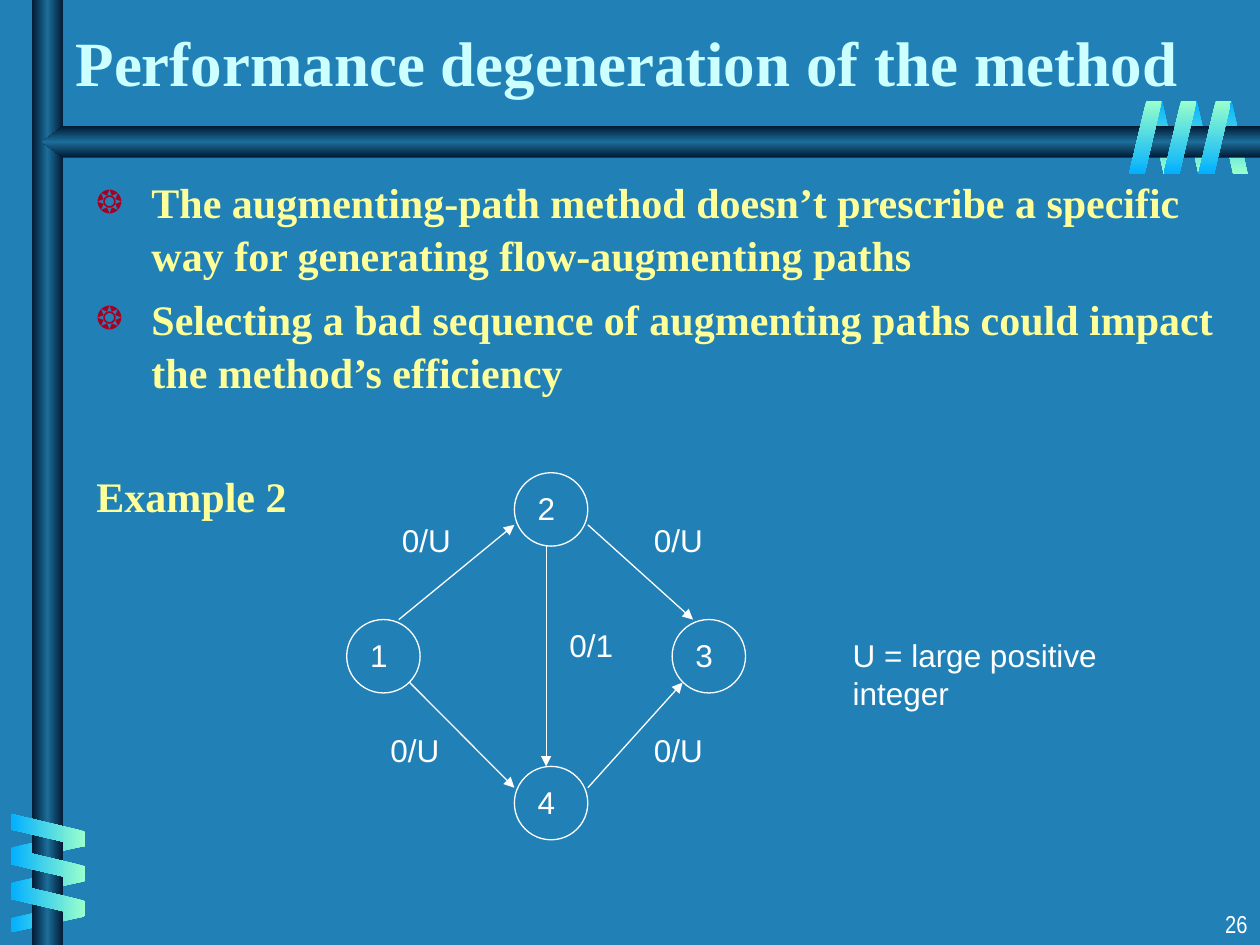
import copy

import pptx
import pptx.dml.color
import pptx.enum.shapes
import pptx.enum.text
import pptx.oxml.ns
import pptx.oxml.xmlchemy
import pptx.util
from lxml import etree

Cm = pptx.util.Cm
Pt = pptx.util.Pt
qn = pptx.oxml.ns.qn
RGB = pptx.dml.color.RGBColor.from_string
SHAPE = pptx.enum.shapes.MSO_SHAPE
ALIGN = pptx.enum.text.PP_ALIGN
ANCHOR = pptx.enum.text.MSO_ANCHOR
AUTO = pptx.enum.text.MSO_AUTO_SIZE

COLORS = {
    "background": "2181B7",
    "title": "CCFFFF",
    "body": "FFFF99",
    "bullet": "A50021",
    "white": "FFFFFF",
    "blue": "01B0FF",
    "green": "99FFCC",
    "dark": "001932",
    "steel": "1C6D9A",
}


def paint_gradient(shape, names, angle):
    shape.shadow.inherit = False
    shape.line.fill.background()
    shape.fill.gradient()
    shape.fill.gradient_angle = angle
    stop_list = shape._element.spPr.find(".//" + qn("a:gsLst"))
    while len(stop_list) < len(names):
        stop_list.append(copy.deepcopy(stop_list[-1]))
    for index, (stop, name) in enumerate(zip(shape.fill.gradient_stops, names)):
        stop.color.rgb = RGB(COLORS[name])
        stop.position = index / (len(names) - 1)


def add_label(text, left, top, width, size=18, font="Arial", wrap=False):
    box = page.shapes.add_textbox(Cm(left), Cm(top), Cm(width), Cm(1.02))
    box.text_frame.word_wrap = wrap
    box.text_frame.auto_size = AUTO.NONE if wrap else AUTO.SHAPE_TO_FIT_TEXT
    para = box.text_frame.paragraphs[0]
    para.text = text
    span = para.runs[0]
    span.font.size = Pt(size)
    span.font.name = font
    span.font.color.rgb = RGB(COLORS["white"])
    return box


deck = pptx.Presentation()
deck.slide_width = Cm(25.4)
deck.slide_height = Cm(19.05)
page = deck.slides.add_slide(deck.slide_layouts[1])
page.background.fill.solid()
page.background.fill.fore_color.rgb = RGB(COLORS["background"])

back_ribbons = [(23.14 + 0.7 * i, 2.03, 180) for i in range(3)]
back_ribbons += [(0.66, 16.33 + 0.71 * i, 90) for i in range(3)]
for left, top, turn in back_ribbons:
    ribbon = page.shapes.add_shape(SHAPE.PARALLELOGRAM, Cm(left), Cm(top), Cm(0.61), Cm(1.48))
    ribbon.adjustments[0] = 0.53
    ribbon.rotation = turn
    ribbon._element.spPr.find(qn("a:xfrm")).set("flipH", "1")
    paint_gradient(ribbon, ["blue", "green"], 90)

column = page.shapes.add_shape(SHAPE.RECTANGLE, Cm(0.64), Cm(0), Cm(0.64), Cm(19.05))
paint_gradient(column, ["dark", "steel", "dark"], 0)

builder = page.shapes.build_freeform(Cm(25.4), Cm(2.54))
bar_points = [(1.27, 2.54), (0.85, 2.86), (1.27, 3.18), (25.4, 3.18)]
builder.add_line_segments([(Cm(x), Cm(y)) for x, y in bar_points], close=True)
paint_gradient(builder.convert_to_shape(), ["dark", "steel", "dark"], 90)

front_ribbons = [(0.64, 16 + 0.7 * i, 270) for i in range(3)]
front_ribbons += [(22.76 + 0.7 * i, 2.03, 180) for i in range(3)]
for left, top, turn in front_ribbons:
    ribbon = page.shapes.add_shape(SHAPE.PARALLELOGRAM, Cm(left), Cm(top), Cm(0.66), Cm(1.48))
    ribbon.adjustments[0] = 0.53
    ribbon.rotation = turn
    paint_gradient(ribbon, ["green", "blue"], 90)

title = page.shapes.title
title.left, title.top, title.width, title.height = Cm(1.27), Cm(0.64), Cm(23.7), Cm(1.48)
title.text_frame.text = "Performance degeneration of the method"
title.text_frame.vertical_anchor = ANCHOR.BOTTOM

body = page.placeholders[1]
body.left, body.top, body.width, body.height = Cm(1.69), Cm(3.39), Cm(23.07), Cm(14.6)
body.text_frame.text = "\n".join([
    "The augmenting-path method doesn’t prescribe a specific way for generating flow-augmenting paths",
    "Selecting a bad sequence of augmenting paths could impact the method’s efficiency",
    "Example 2",
])
for para, bulleted, space in zip(body.text_frame.paragraphs, [True, True, False], [0, 6, 41]):
    properties = para._p.get_or_add_pPr()
    properties.set("marL", str(Cm(1.11)))
    properties.set("indent", str(-Cm(1.11)))
    if bulleted:
        bullet_color = etree.SubElement(properties, qn("a:buClr"))
        etree.SubElement(bullet_color, qn("a:srgbClr"), val=COLORS["bullet"])
        etree.SubElement(properties, qn("a:buSzPct"), val="75000")
        etree.SubElement(properties, qn("a:buChar"), char="❂")
    else:
        etree.SubElement(properties, qn("a:buNone"))
    para.space_before = Pt(space)
    para.line_spacing = 1.05

for holder, size, name in [(title, 36, "title"), (body, 24, "body")]:
    holder.text_frame.auto_size = AUTO.NONE
    holder.text_frame.word_wrap = True
    page.shapes._spTree.append(holder._element)
    for para in holder.text_frame.paragraphs:
        para.alignment = ALIGN.LEFT
        span = para.runs[0]
        span.font.size = Pt(size)
        span.font.name = "Times New Roman"
        span.font.bold = True
        span.font.color.rgb = RGB(COLORS[name])

nodes = {"4": (10.37, 15.45), "2": (10.37, 9.53), "1": (6.99, 12.49), "3": (13.55, 12.49)}
for number, (left, top) in nodes.items():
    node = page.shapes.add_shape(SHAPE.OVAL, Cm(left), Cm(top), Cm(1.48), Cm(1.48))
    node.shadow.inherit = False
    node.fill.background()
    node.line.color.rgb = RGB(COLORS["white"])
    node.line.width = Pt(0.75)
    add_label(number, left + 0.22, top + 0.21, 0.86)

edges = [
    (8.26, 13.76, 10.37, 15.88),
    (11.85, 15.88, 13.76, 13.76),
    (8.04, 12.49, 10.37, 10.58),
    (11.85, 10.58, 13.97, 12.49),
    (11.01, 11.01, 11.01, 15.45),
]
for ends in edges:
    edge = page.shapes.add_connector(
        pptx.enum.shapes.MSO_CONNECTOR.STRAIGHT, *[Cm(value) for value in ends])
    edge.line.color.rgb = RGB(COLORS["white"])
    edge.line.width = Pt(0.75)
    etree.SubElement(edge.line._get_or_add_ln(), qn("a:tailEnd"), type="triangle")
    etree.SubElement(edge._element.spPr, qn("a:effectLst"))

labels = [
    ("0/U", 7.85, 10.37, 1.5),
    ("0/U", 12.93, 10.37, 1.5),
    ("0/1", 11.23, 12.49, 1.4),
    ("0/U", 12.93, 14.61, 1.5),
    ("0/U", 7.62, 14.61, 1.5),
    ("U = large positive integer", 16.94, 12.7, 7.54),
]
for label in labels:
    add_label(*label)

page_number = add_label("26", 20.12, 18.21, 5.28, 14, "Arial Narrow", True)
page_number.height = Cm(0.84)
page_number.text_frame.paragraphs[0].alignment = ALIGN.RIGHT

deck.save("out.pptx")
